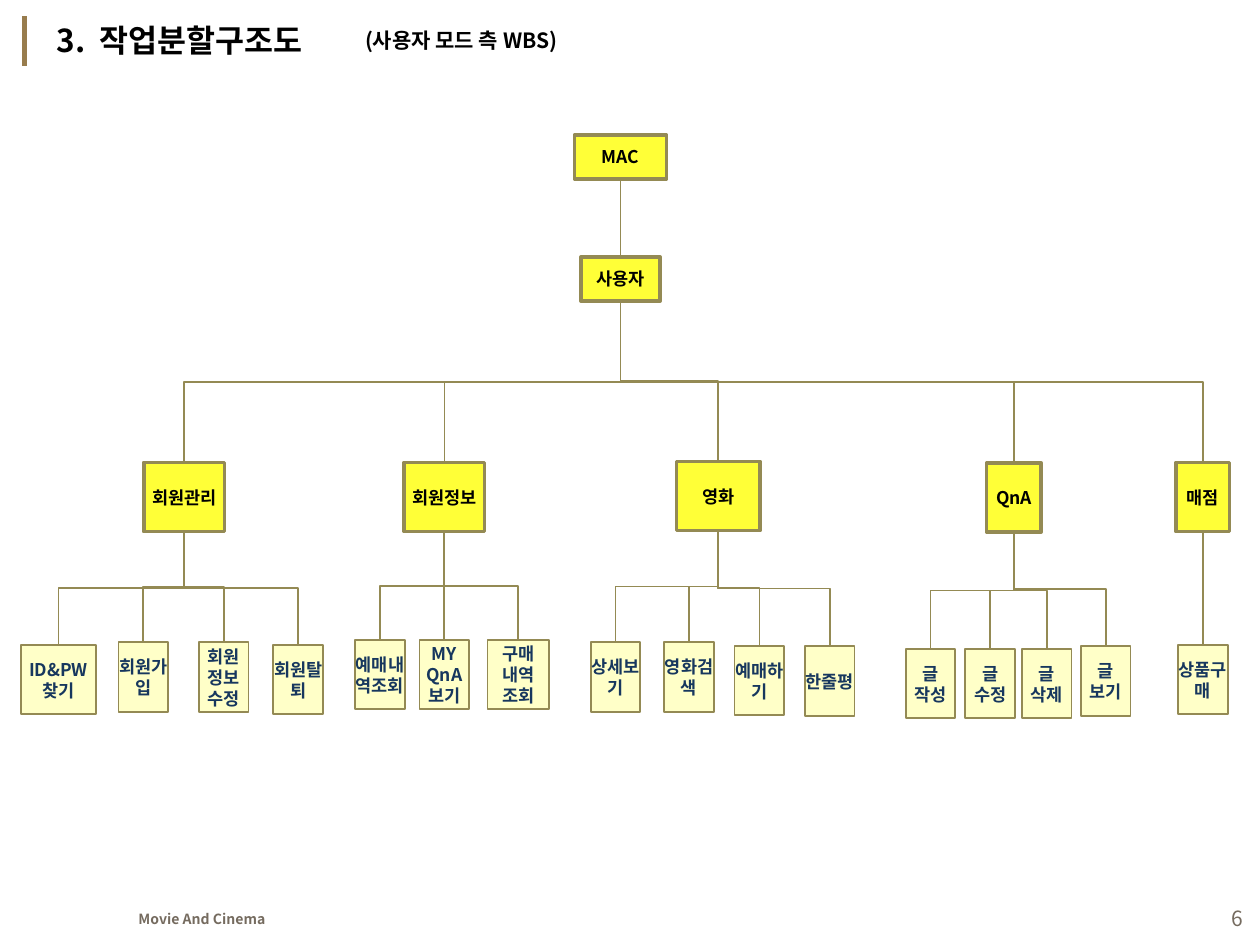
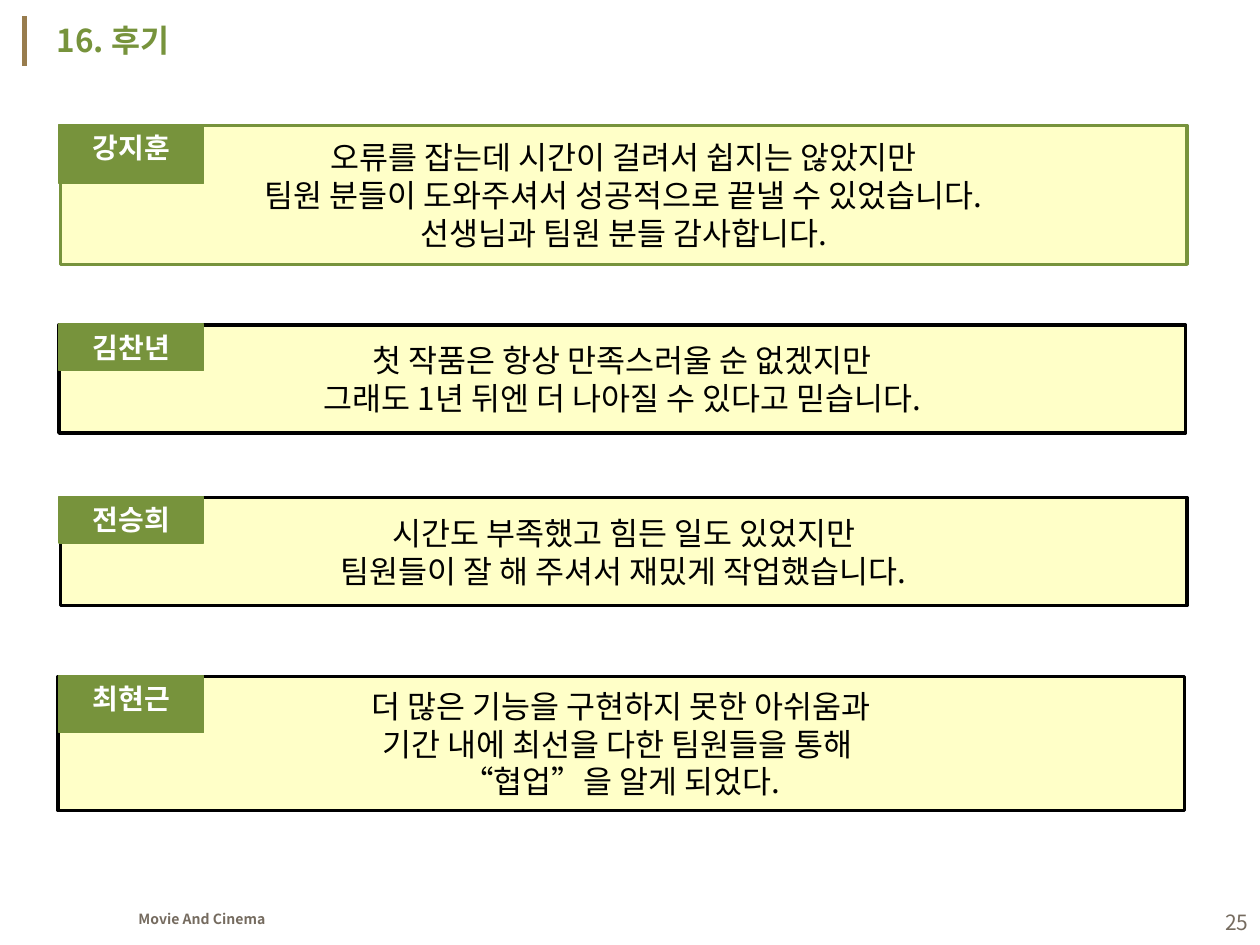
from pptx import Presentation
from pptx import util as u
from pptx.dml.color import RGBColor
from pptx.enum import shapes, text
from pptx.oxml.ns import qn
from lxml import etree

FONT = "Noto Sans CJK KR"
COLORS = {
    "black": "000000", "white": "FFFFFF", "brown": "987C4D", "grey": "756B5F",
    "olive": "948A54", "yellow": "FFFF37", "cream": "FFFFC8",
    "navy": "17375E", "green": "77933C",
}
LEAF_WIDTH = 1.0
BRANCH_HEIGHT = 1.4

ROOT = ("MAC", 11.58, 2.72, 1.86, 0.89)
USER = ("사용자", 11.71, 5.18, 1.6, 0.89)
BRANCHES = [
    (("회원관리", 2.9, 9.32, 1.63), [
        ("ID&PW찾기", 0.43, 13.0, 1.5), ("회원가입", 2.39, 12.95),
        ("회원\n정보\n수정", 4.01, 12.95), ("회원탈퇴", 5.51, 13.0)]),
    (("회원정보", 8.15, 9.32, 1.62), [
        ("예매내역조회", 7.16, 12.9), ("MY\nQnA\n보기", 8.46, 12.9),
        ("구매\n내역\n조회", 9.83, 12.9, 1.24)]),
    (("영화", 13.64, 9.3, 1.68), [
        ("상세보기", 11.91, 12.95), ("영화검색", 13.39, 12.95),
        ("예매하기", 14.81, 13.02), ("한줄평", 16.23, 13.03)]),
    (("QnA", 19.89, 9.33, 1.1), [
        ("글\n작성", 18.26, 13.08), ("글\n수정", 19.46, 13.08),
        ("글\n삭제", 20.6, 13.08), ("글\n보기", 21.79, 13.03)]),
    (("매점", 23.71, 9.32, 1.08), [("상품구매", 23.75, 13.0)]),
]

REVIEWS = [
    ("강지훈", 1.22, 2.53, 2.8, 1.19, "green",
     "오류를 잡는데 시간이 걸려서 쉽지는 않았지만\n"
     "팀원 분들이 도와주셔서 성공적으로 끝낼 수 있었습니다.\n"
     "선생님과 팀원 분들 감사합니다."),
    ("김찬년", 1.19, 6.55, 2.18, 0.94, "black",
     "첫 작품은 항상 만족스러울 순 없겠지만\n"
     "그래도 1년 뒤엔 더 나아질 수 있다고 믿습니다."),
    ("전승희", 1.22, 10.03, 2.18, 0.94, "black",
     "시간도 부족했고 힘든 일도 있었지만\n"
     "팀원들이 잘 해 주셔서 재밌게 작업했습니다."),
    ("최현근", 1.17, 13.64, 2.7, 1.15, "black",
     "더 많은 기능을 구현하지 못한 아쉬움과\n"
     "기간 내에 최선을 다한 팀원들을 통해 \n"
     "“협업”을 알게 되었다."),
]


def color(name):
    return RGBColor.from_string(COLORS[name])


def cm(*lengths):
    return [u.Cm(length) for length in lengths]


def write(shape, words, size, ink, bold=False, align=text.PP_ALIGN.LEFT,
          anchor=text.MSO_ANCHOR.TOP, wrap=True):
    frame = shape.text_frame
    frame.text = words
    frame.word_wrap = wrap
    frame.auto_size = text.MSO_AUTO_SIZE.NONE
    frame.vertical_anchor = anchor
    for para in frame.paragraphs:
        para.alignment = align
        font = para.font
        font.name, font.size, font.bold = FONT, u.Pt(size), bold
        font.color.rgb = color(ink)
        east_asian = etree.SubElement(font._element, qn("a:ea"))
        east_asian.set("typeface", FONT)
    return frame


def add_label(page, words, left, top, width, height, size, ink, **style):
    box = page.shapes.add_textbox(*cm(left, top, width, height))
    write(box, words, size, ink, **style)


def add_box(page, left, top, width, height, fill, line, weight):
    box = page.shapes.add_shape(shapes.MSO_SHAPE.RECTANGLE,
                                *cm(left, top, width, height))
    box.shadow.inherit = False
    box.fill.solid()
    box.fill.fore_color.rgb = color(fill)
    box.line.color.rgb = color(line)
    box.line.width = u.Pt(weight)
    return box


def style_connector(connector, line, weight):
    connector.line.color.rgb = color(line)
    connector.line.width = u.Pt(weight)
    etree.SubElement(connector._element.spPr, qn("a:effectLst"))


def add_page(deck, title, ink, number, number_left, number_top):
    page = deck.slides.add_slide(deck.slide_layouts.get_by_name("Title Only"))
    band = page.shapes.add_connector(shapes.MSO_CONNECTOR.STRAIGHT,
                                     *cm(0.5, 0.33, 0.5, 1.33))
    style_connector(band, "brown", 3)
    heading = page.shapes.title
    heading.left, heading.top, heading.width, heading.height = cm(0.89, 0.3, 12.4, 1.02)
    write(heading, title, 18, ink, bold=True)
    add_label(page, "Movie And Cinema", 2.54, 18.24, 3.12, 0.6, 8, "grey",
              bold=True, wrap=False)
    add_label(page, number, number_left, number_top, 5.92, 1.02, 12, "grey",
              align=text.PP_ALIGN.RIGHT, anchor=text.MSO_ANCHOR.MIDDLE)
    return page


def add_node(page, words, left, top, width, height, fill="yellow",
             ink="black", weight=2):
    node = add_box(page, left, top, width, height, fill, "olive", weight)
    frame = write(node, words, 10, ink, bold=True, align=text.PP_ALIGN.CENTER,
                  anchor=text.MSO_ANCHOR.MIDDLE)
    frame.margin_left = frame.margin_right = 0
    frame.margin_top = frame.margin_bottom = 0
    return node


def add_leaf(page, words, left, top, width=LEAF_WIDTH):
    return add_node(page, words, left, top, width, BRANCH_HEIGHT,
                    "cream", "navy", 1)


def join(page, parent, child):
    elbow = page.shapes.add_connector(shapes.MSO_CONNECTOR.ELBOW, 0, 0, 0, 0)
    elbow.begin_connect(parent, 2)
    elbow.end_connect(child, 0)
    start_x, start_y = elbow.begin_x, elbow.begin_y
    across, down = elbow.end_x - start_x, elbow.end_y - start_y
    elbow.width, elbow.height = down, abs(across)
    elbow.left = start_x + (across - down) // 2
    elbow.top = start_y + (down - abs(across)) // 2
    frame = elbow._element.spPr.xfrm
    frame.flipH, frame.flipV = across >= 0, False
    frame.rot = 270 if across >= 0 else 90
    style_connector(elbow, "olive", 1)


def add_work_breakdown(page):
    root = add_node(page, *ROOT)
    user = add_node(page, *USER)
    join(page, root, user)
    for branch, leaves in BRANCHES:
        branch_node = add_node(page, *branch, BRANCH_HEIGHT)
        join(page, user, branch_node)
        for leaf in leaves:
            join(page, branch_node, add_leaf(page, *leaf))


def add_review(page, name, left, top, height, tag_height, line, comment):
    card = add_box(page, left, top, 22.71, height, "cream", line, 2)
    write(card, comment, 18, "black", align=text.PP_ALIGN.CENTER,
          anchor=text.MSO_ANCHOR.MIDDLE)
    tag = add_box(page, 1.19, top - 0.02, 2.92, tag_height, "green", "green", 0.75)
    write(tag, name, 16, "white", bold=True, align=text.PP_ALIGN.CENTER)


def main():
    deck = Presentation()
    deck.slide_width, deck.slide_height = cm(25.4, 19.05)

    page = add_page(deck, "3.  작업분할구조도", "black", "6", 19.4, 18.0)
    add_label(page, "(사용자 모드 측 WBS)", 7.11, 0.43, 4.6, 0.77, 12, "black",
              bold=True)
    add_work_breakdown(page)

    page = add_page(deck, "16. 후기", "green", "25", 19.5, 18.08)
    for review in REVIEWS:
        add_review(page, *review)

    deck.save("out.pptx")


if __name__ == "__main__":
    main()
